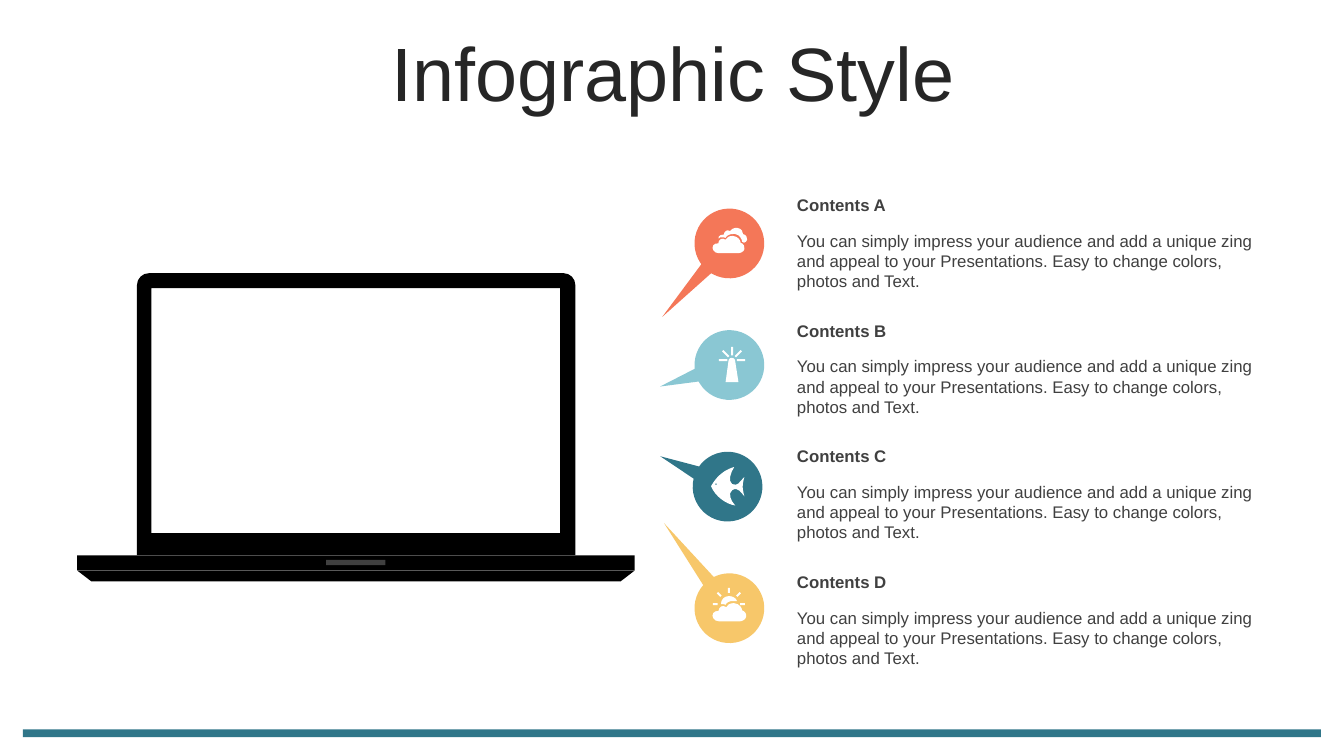
"""Builds the laptop infographic slide with four callouts."""
from dataclasses import dataclass
from math import cos, radians, sin
from typing import NamedTuple

from lxml.etree import SubElement
from pptx import Presentation
from pptx.dml.color import RGBColor
from pptx.enum.shapes import MSO_SHAPE as Preset
from pptx.enum.text import MSO_ANCHOR as Anchor, MSO_AUTO_SIZE as AutoSize, PP_ALIGN as Align
from pptx.oxml.ns import qn
from pptx.util import Pt

Contour = list[tuple[float, ...]]


@dataclass(frozen=True)
class Theme:
    font: str = "Arial"
    title_size: float = 54
    text_size: float = 12
    title: str = "262626"
    text: str = "404040"
    black: str = "000000"
    white: str = "FFFFFF"
    coral: str = "F47758"
    sky: str = "8AC7D3"
    teal: str = "307689"
    gold: str = "F7C76A"


class Box(NamedTuple):
    left: float
    top: float
    width: float
    height: float


class Icon(NamedTuple):
    left: float
    top: float
    contours: list[Contour]


class Item(NamedTuple):
    heading: str
    color: str
    callout_left: float
    pointer: tuple[float, float]
    icon: Icon


THEME = Theme()
BODY = ("You can simply impress your audience and add a unique zing and appeal to your "
        "Presentations. Easy to change colors, photos and Text.")
CALLOUT_TOP, CALLOUT_PITCH, CALLOUT_SIZE, CALLOUT_TURN = 149, 86.85, 49.8, 27.3
TEXT_LEFT, TEXT_TOP, TEXT_PITCH, TEXT_WIDTH, BODY_DROP = 562.2, 135.4, 89.8, 348.5, 25.6


def placed(contour: Contour, left: float, top: float, scale: float = 1) -> Contour:
    """Scale a contour and move it."""
    return [tuple(value * scale + (top if index % 2 else left)
                  for index, value in enumerate(step)) for step in contour]


def rays(left: float, top: float, inner: float, outer: float) -> list[Contour]:
    """Return five thin rays fanned over a half circle."""
    fan = []
    for angle in range(0, 181, 45):
        across, up = cos(radians(angle)), sin(radians(angle))
        fan.append([(left + reach * across + side * up, top - reach * up + side * across)
                    for reach, side in ((inner, -0.7), (outer, -0.7), (outer, 0.7), (inner, 0.7))])
    return fan


CLOUD: Contour = [
    (15.1, 0), (19.4, 0.5, 20.9, 3.6, 20.9, 5.2), (23.2, 5.8, 24.3, 8.3, 23.8, 9.8),
    (23.5, 12.2, 20.2, 13, 19.4, 13), (4.3, 13), (2.9, 13, 1.2, 12.3, 0.3, 10.8),
    (-0.4, 9.8, -0.4, 8.3, 0.3, 7.2), (0.9, 6.3, 2.2, 5.4, 4.1, 5.6),
    (4.2, 4.3, 4.9, 3, 6, 2.4), (7.1, 1.9, 8.4, 2, 9.6, 2.9), (10.3, 1.4, 12, 0, 15.1, 0)]
BACK_CLOUD: Contour = [
    (17.3, 0), (20.9, 0.7, 21.6, 2.9, 21.6, 4.5), (24.3, 5.2, 24.6, 7.3, 24.5, 8.6),
    (24.4, 9.6, 23.2, 10.5, 22.3, 10.7), (21.8, 10.6, 21.3, 10.2, 20.9, 10),
    (20.9, 8.6, 19.4, 4.9, 15.8, 4.4), (11.6, 4, 9.4, 6.2, 9.2, 7.2),
    (7.9, 6.9, 6.5, 6.5, 5.2, 6.9), (4.9, 7.2, 4.5, 7.6, 4.1, 7.8),
    (3.9, 7.3, 3.9, 6.7, 4.3, 6.2), (5, 5.6, 6.2, 4.6, 7.9, 4.9),
    (8, 3.7, 8.5, 2.6, 9.5, 2.1), (10.3, 1.6, 11.4, 1.8, 12.2, 2.4), (13, 1.2, 14.8, 0, 17.3, 0)]
SUN: Contour = [
    (11.5, 5.8), (14.4, 5.8, 16.6, 7.2, 17.3, 9.4), (16.6, 9.2, 15.9, 9.3, 15.1, 9.3),
    (11.5, 9, 9.4, 10.9, 9.2, 12), (8.5, 11.6, 7.1, 11.4, 5.8, 11.6),
    (5.8, 7.9, 8.6, 5.8, 11.5, 5.8)]
TOWER: Contour = [(5, 24.5), (7.2, 8.6), (7.4, 7.6, 8.6, 7.2, 9.5, 7.2),
                  (10.6, 7.2, 11.5, 7.8, 11.7, 8.6), (14.2, 24.5)]
FISH: Contour = [
    (16.6, 0), (13.7, 4.3, 12.2, 10.1, 15.1, 12.2), (19.4, 13.7, 19.4, 11.5, 23.8, 7.2),
    (21.6, 14.4, 23, 17.3, 23.8, 20.9), (21.6, 18.7, 19.4, 13.7, 15.1, 16.6),
    (12.2, 18.7, 13.7, 23.8, 17.3, 27.5), (10.8, 26.6, 2.9, 20.9, 0, 13.7),
    (1.4, 11.5, 5.8, 2.9, 16.6, 0)]
EYE: Contour = [(3.6, 11.5), (4.3, 12.2), (3.6, 12.9), (2.9, 12.2)]
SCREEN: Contour = [(108.1, 205.8), (108.1, 380.8), (400.1, 380.8), (400.1, 205.8)]
LID: Contour = [(106.6, 195.1), (402.4, 195.1), (407.2, 195.1, 411, 199, 411, 203.8),
                (411, 396.6), (97.8, 396.6), (97.8, 203.8), (97.8, 199, 101.7, 195.1, 106.6, 195.1)]

ITEMS = [
    Item("Contents A", THEME.coral, 496.1, (-0.373, 1.379),
         Icon(509.2, 162.7, [BACK_CLOUD, placed(CLOUD, 0, 5.8, 0.95)])),
    Item("Contents B", THEME.sky, 496.1, (-0.742, 0.73),
         Icon(513.3, 248.4, [TOWER, *rays(9.6, 8.8, 3.4, 9.4)])),
    Item("Contents C", THEME.teal, 494.8, (-1.058, 0.056), Icon(507.9, 333.6, [FISH, EYE])),
    Item("Contents D", THEME.gold, 496.1, (-1.391, -0.654),
         Icon(509.2, 420, [SUN, placed(CLOUD, 0, 10.8), *rays(11.5, 11.5, 8, 11.5)])),
]


def paint(shape, color: str) -> None:
    """Give a shape a plain fill without line or shadow."""
    shape.shadow.inherit = False
    shape.fill.solid()
    shape.fill.fore_color.rgb = RGBColor.from_string(color)
    shape.line.fill.background()


def add_preset(page, kind: Preset, box: Box, color: str,
               adjustments: tuple[float, ...] = (), turn: float = 0) -> None:
    """Draw a preset shape."""
    shape = page.shapes.add_shape(kind, *map(Pt, box))
    for index, value in enumerate(adjustments):
        shape.adjustments[index] = value
    shape.rotation = turn
    paint(shape, color)


def add_outline(page, contours: list[Contour], color: str) -> None:
    """Draw closed contours of lines (2 numbers) and cubic curves (6 numbers) as one freeform."""
    first, *others = [[(Pt(step[-2]), Pt(step[-1])) for step in contour] for contour in contours]
    builder = page.shapes.build_freeform(*first[0], scale=1.0)
    builder.add_line_segments(first[1:], close=True)
    for points in others:
        builder.move_to(*points[0])
        builder.add_line_segments(points[1:], close=True)
    shape = builder.convert_to_shape()
    steps = [step for contour in contours for step in contour[1:]]
    for line, step in zip(list(shape.element.iter(qn("a:lnTo"))), steps):
        if len(step) == 6:
            line.clear()
            curve = SubElement(line.getparent(), qn("a:cubicBezTo"))
            for x, y in zip(step[::2], step[1::2]):
                SubElement(curve, qn("a:pt"), x=str(Pt(x) - shape.left), y=str(Pt(y) - shape.top))
            line.getparent().replace(line, curve)
    paint(shape, color)


def add_text(page, box: Box, text: str, size: float, color: str, bold: bool = False):
    """Add a wrapped text box and return its frame."""
    frame = page.shapes.add_textbox(*map(Pt, box)).text_frame
    frame.word_wrap = True
    span = frame.paragraphs[0].add_run()
    span.text = text
    span.font.name = THEME.font
    span.font.size = Pt(size)
    span.font.bold = bold
    span.font.color.rgb = RGBColor.from_string(color)
    return frame


def add_item(page, index: int, item: Item) -> None:
    """Draw one callout with its icon, heading and text."""
    callout = Box(item.callout_left, CALLOUT_TOP + index * CALLOUT_PITCH, CALLOUT_SIZE, CALLOUT_SIZE)
    add_preset(page, Preset.OVAL_CALLOUT, callout, item.color, item.pointer, CALLOUT_TURN)
    icon = item.icon
    add_outline(page, [placed(part, icon.left, icon.top) for part in icon.contours], THEME.white)
    top = TEXT_TOP + index * TEXT_PITCH
    for text, offset, height, bold in ((item.heading, 0, 21.6, True), (BODY, BODY_DROP, 51.1, False)):
        frame = add_text(page, Box(TEXT_LEFT, top + offset, TEXT_WIDTH, height), text,
                         THEME.text_size, THEME.text, bold)
        frame.auto_size = AutoSize.SHAPE_TO_FIT_TEXT


def main() -> None:
    """Build and save the deck."""
    deck = Presentation()
    deck.slide_width, deck.slide_height = Pt(960), Pt(540)
    page = deck.slides.add_slide(deck.slide_layouts[6])
    add_outline(page, [SCREEN, LID], THEME.black)
    add_preset(page, Preset.RECTANGLE, Box(55.1, 396.7, 398.3, 10.5), THEME.black)
    add_preset(page, Preset.TRAPEZOID, Box(55.1, 407.5, 398.3, 7.7), THEME.black, (1.3,), 180)
    add_preset(page, Preset.RECTANGLE, Box(232.9, 399.9, 42.4, 3.8), THEME.text)
    add_preset(page, Preset.RECTANGLE, Box(16.4, 521, 927.2, 5.6), THEME.teal)
    title = add_text(page, Box(25.2, 26.6, 911.5, 56.9), "Infographic Style",
                     THEME.title_size, THEME.title)
    title.vertical_anchor = Anchor.MIDDLE
    title.paragraphs[0].alignment = Align.CENTER
    title.paragraphs[0].line_spacing = 0.9
    for index, item in enumerate(ITEMS):
        add_item(page, index, item)
    deck.save("out.pptx")


if __name__ == "__main__":
    main()
